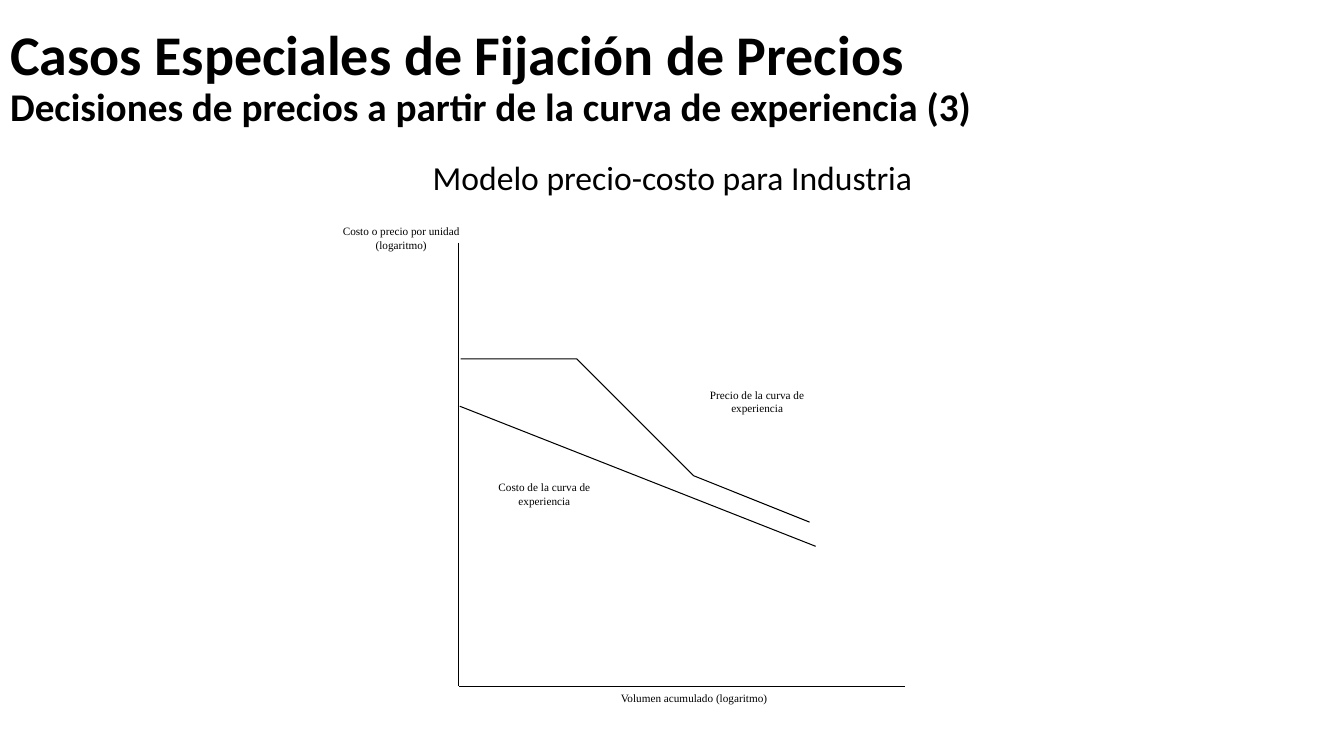
from typing import NamedTuple

from lxml import etree
from pptx import Presentation
from pptx.dml.color import RGBColor
from pptx.enum import shapes, text
from pptx.oxml.ns import qn
from pptx.util import Emu, Pt

PX = 9144  # 100 px to the inch
BLACK, WHITE = "000000", "FFFFFF"
LINE_WIDTH = Pt(0.75)


class Label(NamedTuple):
    words: str
    left: int
    top: int
    width: int
    height: int


class Segment(NamedTuple):
    x1: int
    y1: int
    x2: int
    y2: int


LABELS = [
    Label("Costo de la curva de experiencia", 463, 472, 154, 93),
    Label("Precio de la curva de experiencia", 674, 380, 154, 93),
    Label("Volumen acumulado (logaritmo)", 521, 681, 335, 46),
    Label("Costo o precio por unidad (logaritmo)", 321, 218, 154, 93),
]
SEGMENTS = [
    Segment(455, 241, 455, 681),  # vertical axis
    Segment(455, 681, 898, 681),  # horizontal axis
    Segment(456, 403, 809, 542),  # cost curve
]
PRICE_CURVE = [(457, 356), (572, 356), (688, 472), (803, 518)]


def px(length: int) -> Emu:
    return Emu(length * PX)


def colour(value: str) -> RGBColor:
    return RGBColor.from_string(value)


def place(shape, left: int, top: int, width: int, height: int) -> None:
    shape.left, shape.top = px(left), px(top)
    shape.width, shape.height = px(width), px(height)


def add_span(para, words: str, size: int, font: str = "Calibri", bold: bool = False) -> None:
    span = para.add_run()
    span.text = words
    span.font.name, span.font.size, span.font.bold = font, Pt(size), bold
    span.font.color.rgb = colour(BLACK)


def style_line(line) -> None:
    line.color.rgb = colour(BLACK)
    line.width = LINE_WIDTH


def fill_title(title) -> None:
    place(title, 0, 0, 1333, 155)
    frame = title.text_frame
    frame.auto_size = text.MSO_AUTO_SIZE.NONE
    frame.vertical_anchor = text.MSO_ANCHOR.MIDDLE
    para = frame.paragraphs[0]
    para.alignment, para.line_spacing = text.PP_ALIGN.LEFT, 0.9
    add_span(para, "Casos Especiales de Fijación de Precios", 40, bold=True)
    para.add_line_break()
    add_span(para, "Decisiones de precios a partir de la curva de experiencia (3)", 28, bold=True)


def fill_body(body) -> None:
    place(body, 167, 155, 1000, 595)
    body.text_frame.auto_size = text.MSO_AUTO_SIZE.NONE
    para = body.text_frame.paragraphs[0]
    para.alignment, para.line_spacing = text.PP_ALIGN.CENTER, 0.9
    para.space_before = Pt(10)
    properties = para._p.get_or_add_pPr()
    properties.set("marL", str(px(25)))
    properties.set("indent", str(px(-25)))
    etree.SubElement(properties, qn("a:buNone"))
    add_span(para, "Modelo precio-costo para Industria", 24)


def add_label(page, label: Label) -> None:
    box = page.shapes.add_shape(shapes.MSO_SHAPE.RECTANGLE, *map(px, label[1:]))
    box.shadow.inherit = False
    box.fill.solid()
    box.fill.fore_color.rgb = colour(WHITE)
    box.line.fill.background()
    frame = box.text_frame
    frame.word_wrap = True
    frame.vertical_anchor = text.MSO_ANCHOR.TOP
    para = frame.paragraphs[0]
    para.alignment = text.PP_ALIGN.CENTER
    add_span(para, label.words, 8, "Times New Roman")


def add_segment(page, segment: Segment) -> None:
    line = page.shapes.add_connector(shapes.MSO_CONNECTOR.STRAIGHT, *map(px, segment))
    style_line(line.line)
    etree.SubElement(line._element.spPr, qn("a:effectLst"))


def add_curve(page, points: list[tuple[int, int]]) -> None:
    builder = page.shapes.build_freeform(*points[0], scale=PX)
    builder.add_line_segments(points[1:], close=False)
    curve = builder.convert_to_shape()
    curve.shadow.inherit = False
    curve.fill.background()
    style_line(curve.line)


def main() -> None:
    deck = Presentation()
    deck.slide_width, deck.slide_height = px(1333), px(750)
    page = deck.slides.add_slide(deck.slide_layouts[1])

    # Title and chart heading
    fill_title(page.shapes.title)
    fill_body(page.placeholders[1])

    # Labels, axes and curves
    for label in LABELS:
        add_label(page, label)
    for segment in SEGMENTS:
        add_segment(page, segment)
    add_curve(page, PRICE_CURVE)

    deck.save("out.pptx")


if __name__ == "__main__":
    main()
